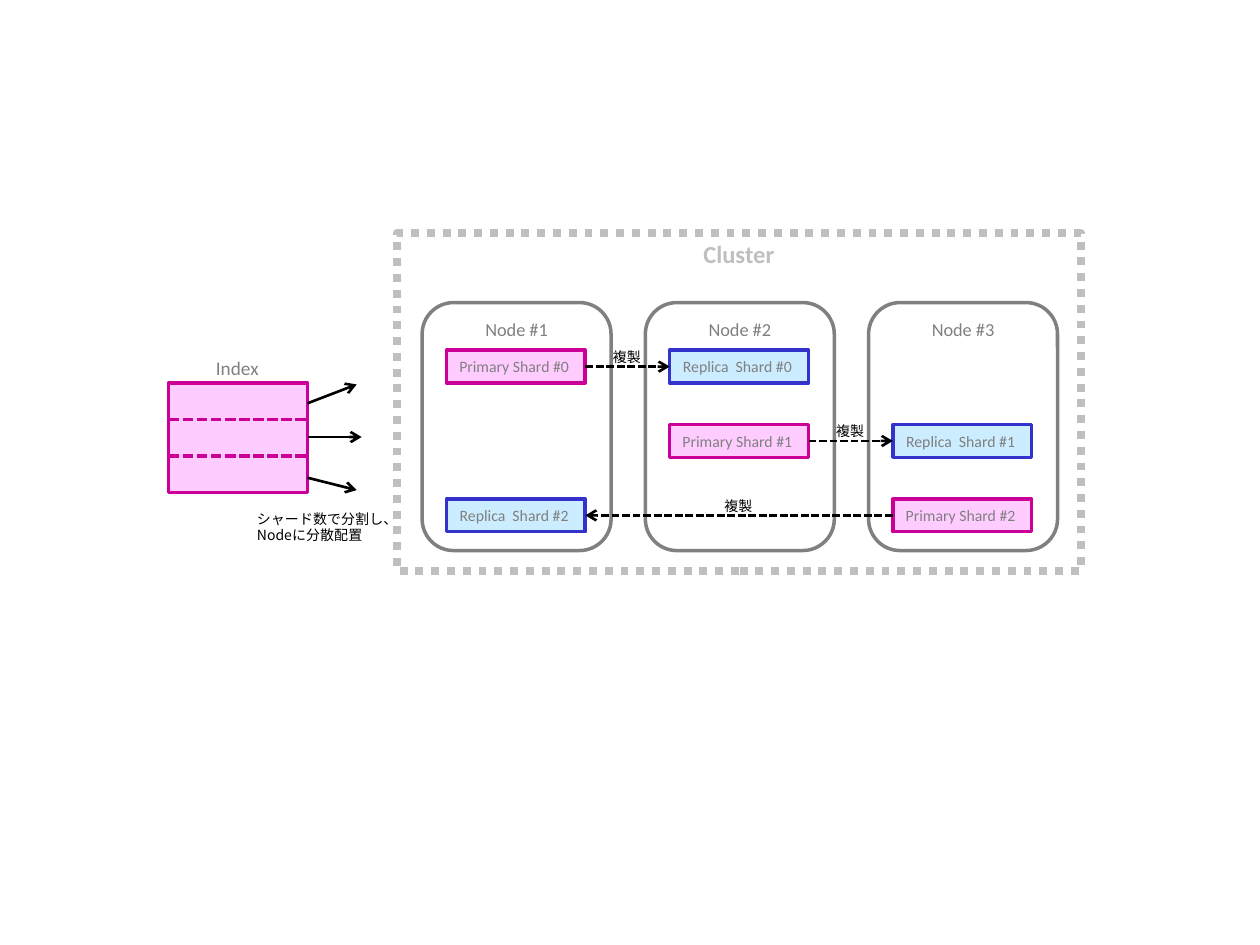
from pptx import Presentation
from pptx import util as u
from pptx.dml.color import RGBColor
from pptx.enum import dml, shapes, text
from pptx.oxml import ns, xmlchemy

Cm = u.Cm
DASH, SHAPE = dml.MSO_LINE, shapes.MSO_SHAPE
ANCHOR, ALIGN = text.MSO_ANCHOR, text.PP_ALIGN


class Theme:
    latin, japanese = "Calibri", "Noto Sans CJK JP"
    white, black, gray, light = "FFFFFF", "000000", "808080", "BFBFBF"
    primary = ("FFCCFF", "CC0099")  # fill, line
    replica = ("CCECFF", "3333CC")
    cluster_size, index_size, node_size, shard_size, note_size = 14, 11, 10.5, 9, 8
    heavy, outline, arrow = 4.5, 2, 1.5


# Content
NODES = ["Node #1", "Node #2", "Node #3"]
SHARDS = [(0, 1), (1, 2), (2, 0)]  # node of primary, node of replica
COPY = "複製"
NOTE = ["シャード数で分割し、", "Nodeに分散配置"]

# Layout in cm
CLUSTER = (8, 4.7, 13.79, 6.81)
NODE_X, NODE_Y, NODE_W, NODE_H, NODE_STEP = 8.51, 6.1, 3.81, 5, 4.5
SHARD_INSET, SHARD_Y, SHARD_W, SHARD_H, SHARD_STEP = 0.49, 7.06, 2.8, 0.66, 1.5
LABEL_W, LABEL_H, LABEL_RISE = 1.09, 0.61, 0.49
INDEX_X, INDEX_Y, INDEX_W, INDEX_H = 3.4, 7.72, 2.8, 2.21
SPREAD = [(8.13, 7.19, 7.75), (8.81, 7.29, 8.81), (9.63, 7.19, 9.88)]  # y, end x, end y

prs = Presentation()
prs.slide_width, prs.slide_height = Cm(25.4), Cm(19.05)
s = prs.slides.add_slide(prs.slide_layouts[6])


def write(sp, lines, size, color, font=Theme.latin, bold=False,
          align=ALIGN.CENTER, anchor=ANCHOR.TOP, wrap=True):
    tf = sp.text_frame
    tf.word_wrap, tf.vertical_anchor = wrap, anchor
    for i, line in enumerate(lines):
        p = tf.paragraphs[0] if i == 0 else tf.add_paragraph()
        p.alignment = align
        r = p.add_run()
        r.text = line
        r.font.size, r.font.bold, r.font.name = u.Pt(size), bold, font
        r.font.color.rgb = RGBColor.from_string(color)
        if font == Theme.japanese:
            ea = xmlchemy.OxmlElement("a:ea")
            ea.set("typeface", font)
            r.font._element.find(ns.qn("a:latin")).addnext(ea)


def stroke(obj, color, width, dash=None):
    obj.line.color.rgb = RGBColor.from_string(color)
    obj.line.width = u.Pt(width)
    if dash:
        obj.line.dash_style = dash


def box(kind, at, fill, line, width=Theme.outline, dash=None):
    sp = s.shapes.add_shape(kind, *map(Cm, at))
    sp.shadow.inherit = False
    sp.fill.solid()
    sp.fill.fore_color.rgb = RGBColor.from_string(fill)
    stroke(sp, line, width, dash)
    return sp


def line(start, end, color=Theme.black, width=Theme.arrow, dash=None, arrow=True):
    c = s.shapes.add_connector(shapes.MSO_CONNECTOR.STRAIGHT, *map(Cm, start + end))
    stroke(c, color, width, dash)
    if arrow:
        tail = xmlchemy.OxmlElement("a:tailEnd")
        tail.set("type", "arrow")
        c.line._get_or_add_ln().append(tail)
    c._element.spPr.append(xmlchemy.OxmlElement("a:effectLst"))
    return c


def label(at, lines, **fmt):
    sp = s.shapes.add_textbox(*map(Cm, at))
    write(sp, lines, **fmt)
    return sp


def note(at, lines):
    sp = label(at, lines, size=Theme.note_size, color=Theme.black,
               font=Theme.japanese, align=ALIGN.LEFT, wrap=False)
    sp.text_frame.auto_size = text.MSO_AUTO_SIZE.SHAPE_TO_FIT_TEXT


# Cluster and nodes
cluster = box(SHAPE.RECTANGLE, CLUSTER, Theme.white, Theme.light, Theme.heavy,
              DASH.ROUND_DOT)  # sysDot
write(cluster, ["Cluster"], Theme.cluster_size, Theme.light, bold=True)
for i, name in enumerate(NODES):
    node = box(SHAPE.ROUNDED_RECTANGLE,
               (NODE_X + i * NODE_STEP, NODE_Y, NODE_W, NODE_H), Theme.white, Theme.gray)
    write(node, [name], Theme.node_size, Theme.gray)

# Shards, with an arrow from each primary to its replica
for i, (source, target) in enumerate(SHARDS):
    y = SHARD_Y + i * SHARD_STEP
    xs = [NODE_X + n * NODE_STEP + SHARD_INSET for n in (source, target)]
    pair = []
    for x, name, colors in zip(xs, (f"Primary Shard #{i} ", f"Replica  Shard #{i} "),
                               (Theme.primary, Theme.replica)):
        shard = box(SHAPE.RECTANGLE, (x, y, SHARD_W, SHARD_H), *colors)
        write(shard, [name], Theme.shard_size, Theme.gray, anchor=ANCHOR.MIDDLE)
        pair.append(shard)
    mid_x, mid_y = (sum(xs) + SHARD_W) / 2, y + SHARD_H / 2
    link = line((xs[0], mid_y), (xs[1], mid_y), dash=DASH.SQUARE_DOT)  # sysDash
    left, right = 1, 3
    link.begin_connect(pair[0], right if source < target else left)
    link.end_connect(pair[1], left if source < target else right)
    note((mid_x - LABEL_W / 2, mid_y - LABEL_RISE, LABEL_W, LABEL_H), [COPY])

# Index, split in equal parts and spread out
box(SHAPE.RECTANGLE, (INDEX_X, INDEX_Y, INDEX_W, INDEX_H), *Theme.primary)
label((3.73, 7.09, 2.11, 0.66), ["Index"], size=Theme.index_size, color=Theme.gray,
      anchor=ANCHOR.MIDDLE)
edge = INDEX_X + INDEX_W
for i in range(1, len(SHARDS)):
    y = INDEX_Y + INDEX_H * i / len(SHARDS)
    line((INDEX_X, y), (edge, y), Theme.primary[1], Theme.outline, DASH.SQUARE_DOT, False)
for y, end_x, end_y in SPREAD:
    line((edge, y), (end_x, end_y))
note((4.93, 10.16, 3.35, 0.94), NOTE)

prs.save("out.pptx")
